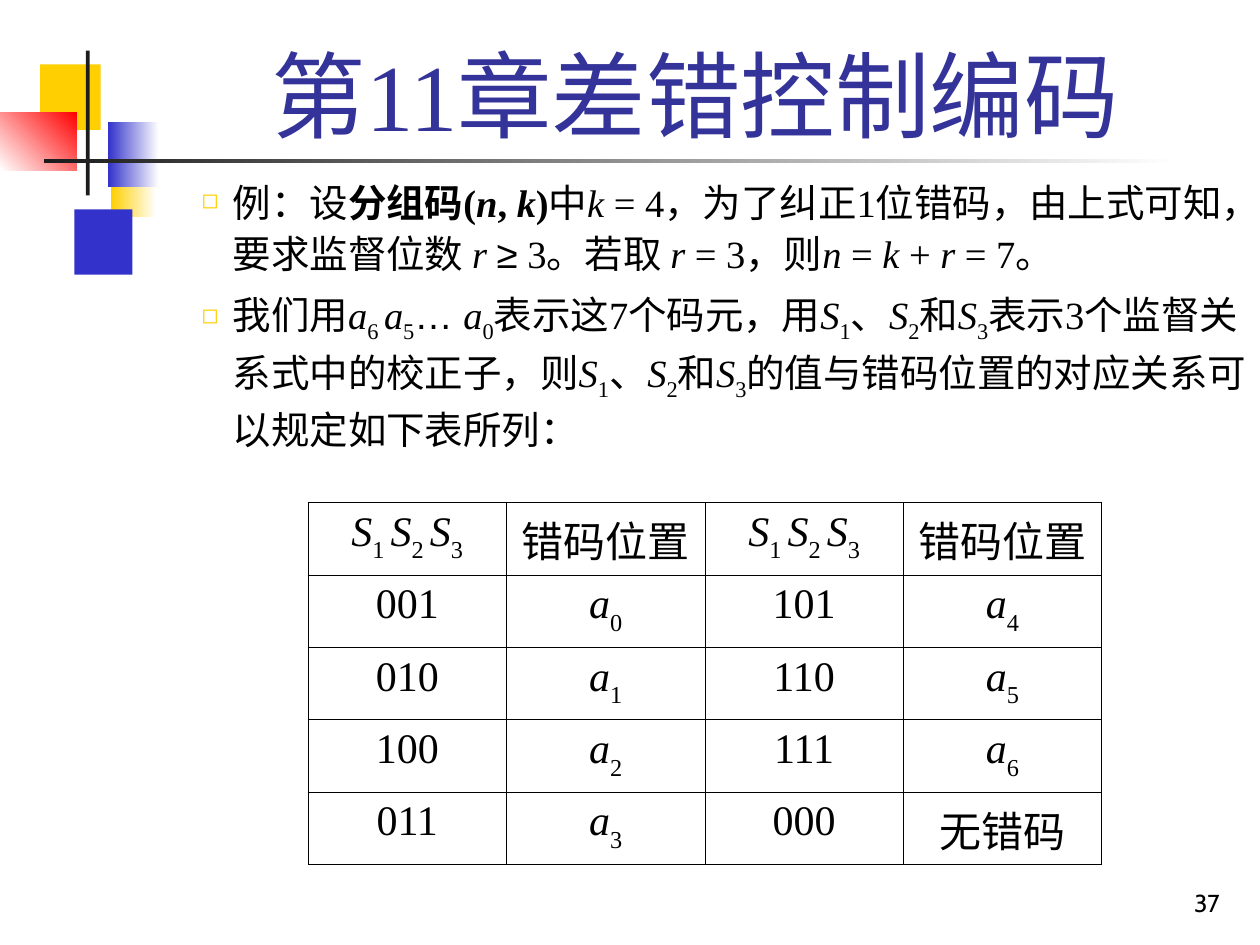
import pptx
import pptx.util
import pptx.dml.color
import pptx.enum.shapes
import pptx.enum.text
import pptx.oxml
import pptx.oxml.ns
from lxml import etree

Cm, Pt = pptx.util.Cm, pptx.util.Pt
ALIGN = pptx.enum.text.PP_ALIGN
ANCHOR = pptx.enum.text.MSO_ANCHOR

HUES = {"gold": "FFCF01", "blue": "3333CC", "red": "FF0000", "dark": "1C1C1C",
        "white": "FFFFFF", "black": "000000", "title": "333399"}


def rgb(hue):
    return pptx.dml.color.RGBColor.from_string(HUES[hue])


def add_node(parent, tag, **attrs):
    return etree.SubElement(parent, pptx.oxml.ns.qn(tag), attrs)


class Deck:
    """Slide style and the current slide."""
    font = "Times New Roman"

    def __init__(self, wide, high):
        self.prs = pptx.Presentation()
        self.prs.slide_width, self.prs.slide_height = Cm(wide), Cm(high)
        self.slide = self.prs.slides.add_slide(self.prs.slide_layouts[5])

    def add_runs(self, para, runs, size, hue="black", font=None, sub=-25):
        """Marks: b bold, i italic, s subscript, a Arial."""
        for text, marks in runs:
            run = para.add_run()
            run.text = text
            style = run.font
            style.size = Pt(size)
            style.name = "Arial" if "a" in marks else font or self.font
            style.color.rgb = rgb(hue)
            style.bold, style.italic = "b" in marks, "i" in marks
            if "s" in marks:
                run._r.get_or_add_rPr().set("baseline", str(sub * 1000))

    def block(self, box, *hues, angle=0):
        """One hue fills plainly, two make a gradient."""
        shape = self.slide.shapes.add_shape(
            pptx.enum.shapes.MSO_SHAPE.RECTANGLE, *map(Cm, box))
        shape.shadow.inherit = False
        shape.line.fill.background()
        if len(hues) == 1:
            shape.fill.solid()
            shape.fill.fore_color.rgb = rgb(hues[0])
        else:
            shape.fill.gradient()
            shape.fill.gradient_angle = angle
            for stop, hue in zip(shape.fill.gradient_stops, hues):
                stop.color.rgb = rgb(hue)

    def title(self, box, text):
        shape = self.slide.shapes.title
        shape.left, shape.top, shape.width, shape.height = map(Cm, box)
        frame = shape.text_frame
        frame.auto_size = pptx.enum.text.MSO_AUTO_SIZE.NONE
        frame.vertical_anchor = ANCHOR.BOTTOM
        para = frame.paragraphs[0]
        para.alignment = ALIGN.CENTER
        self.add_runs(para, [(text, "")], 54, "title")

    def frame(self, box):
        frame = self.slide.shapes.add_textbox(*map(Cm, box)).text_frame
        frame.word_wrap = True
        return frame

    def number(self, box, text):
        frame = self.frame(box)
        frame.vertical_anchor = ANCHOR.BOTTOM
        para = frame.paragraphs[0]
        para.alignment = ALIGN.RIGHT
        self.add_runs(para, [(text, "")], 14, font="Cabin")

    def bullets(self, box, items):
        frame = self.frame(box)
        for num, runs in enumerate(items):
            para = frame.add_paragraph() if num else frame.paragraphs[0]
            para.line_spacing, para.space_before = 1.1, Pt(5.5)
            props = para._p.get_or_add_pPr()
            props.set("marL", str(Cm(4.445)))
            props.set("indent", str(-Cm(0.635)))
            add_node(add_node(props, "a:buClr"), "a:srgbClr", val=HUES["gold"])
            add_node(props, "a:buSzPct", val="55000")
            add_node(props, "a:buChar", char="◻")
            self.add_runs(para, runs, 22)

    def border(self, cell):
        props = cell._tc.get_or_add_tcPr()
        for side in "LRTB":
            line = add_node(props, "a:ln" + side, w=str(Pt(0.45)))
            add_node(add_node(line, "a:solidFill"), "a:srgbClr",
                     val=HUES["black"])

    def table(self, box, rows):
        table = self.slide.shapes.add_table(
            len(rows), len(rows[0]), *map(Cm, box)).table
        table.first_row = table.horz_banding = False
        for r, row in enumerate(rows):
            for c, runs in enumerate(row):
                cell = table.cell(r, c)
                self.border(cell)
                if c % 2:
                    cell.fill.solid()
                    cell.fill.fore_color.rgb = rgb("white")
                else:
                    cell.fill.background()
                para = cell.text_frame.paragraphs[0]
                para.alignment = ALIGN.CENTER
                self.add_runs(para, runs, 24, sub=-30)


def sym(name, low):
    return [(name, "i"), (low, "s")]


def main():
    deck = Deck(25.4, 19.05)

    # Corner ornament
    deck.block((2.24, 3.05, 0.91, 1.32), "gold", "white")
    deck.block((1.5, 4.22, 1.17, 1.32), "blue")
    deck.block((0.81, 1.3, 1.22, 1.32), "gold")
    deck.block((2.18, 2.46, 1.02, 1.32), "blue", "white")
    deck.block((0, 2.26, 1.55, 1.17), "white", "red", angle=45)
    deck.block((1.73, 1.02, 0.08, 2.92), "dark")
    deck.block((0.89, 3.2, 22.86, 0.08), "dark", "white")

    # Page number and title
    deck.number((19.56, 17.35, 5.28, 1.27), "37")
    deck.title((3.2, 0.58, 21.64, 2.57), "第11章差错控制编码")

    # Body text
    checks = [*sym("S", "1"), ("、", ""), *sym("S", "2"), ("和", ""),
              *sym("S", "3")]
    deck.bullets((0, 3.4, 25.4, 5.87), [
        [("例：设", ""), ("分组码(", "b"), ("n", "bi"), (", ", "b"),
         ("k", "bi"), (")", "b"), ("中", ""), ("k", "i"),
         (" = 4，为了纠正1位错码，由上式可知，要求监督位数 ", ""),
         ("r ", "i"), ("≥", "a"), (" 3。若取 ", ""), ("r", "i"),
         (" = 3，则", ""), ("n", "i"), (" = ", ""), ("k", "i"),
         (" + ", ""), ("r", "i"), (" = 7。", "")],
        [("我们用", ""), *sym("a", "6 "), *sym("a", "5"), ("… ", "a"),
         *sym("a", "0"), ("表示这7个码元，用", ""), *checks,
         ("表示3个监督关系式中的校正子，则", ""), *checks,
         ("的值与错码位置的对应关系可以规定如下表所列：", "")],
    ])

    # Syndrome table: codes beside the error places a0 to a6
    codes = ["001", "010", "100", "011", "101", "110", "111", "000"]
    spots = [sym("a", str(n)) for n in range(7)] + [[("无错码", "")]]
    pairs = [[[(code, "")], spot] for code, spot in zip(codes, spots)]
    head = [[*sym("S", "1 "), *sym("S", "2 "), *sym("S", "3")],
            [("错码位置", "")]]
    rows = [head * 2] + [a + b for a, b in zip(pairs[:4], pairs[4:])]
    deck.table((6.21, 10.13, 16, 7.3), rows)

    deck.prs.save("out.pptx")


if __name__ == "__main__":
    main()
